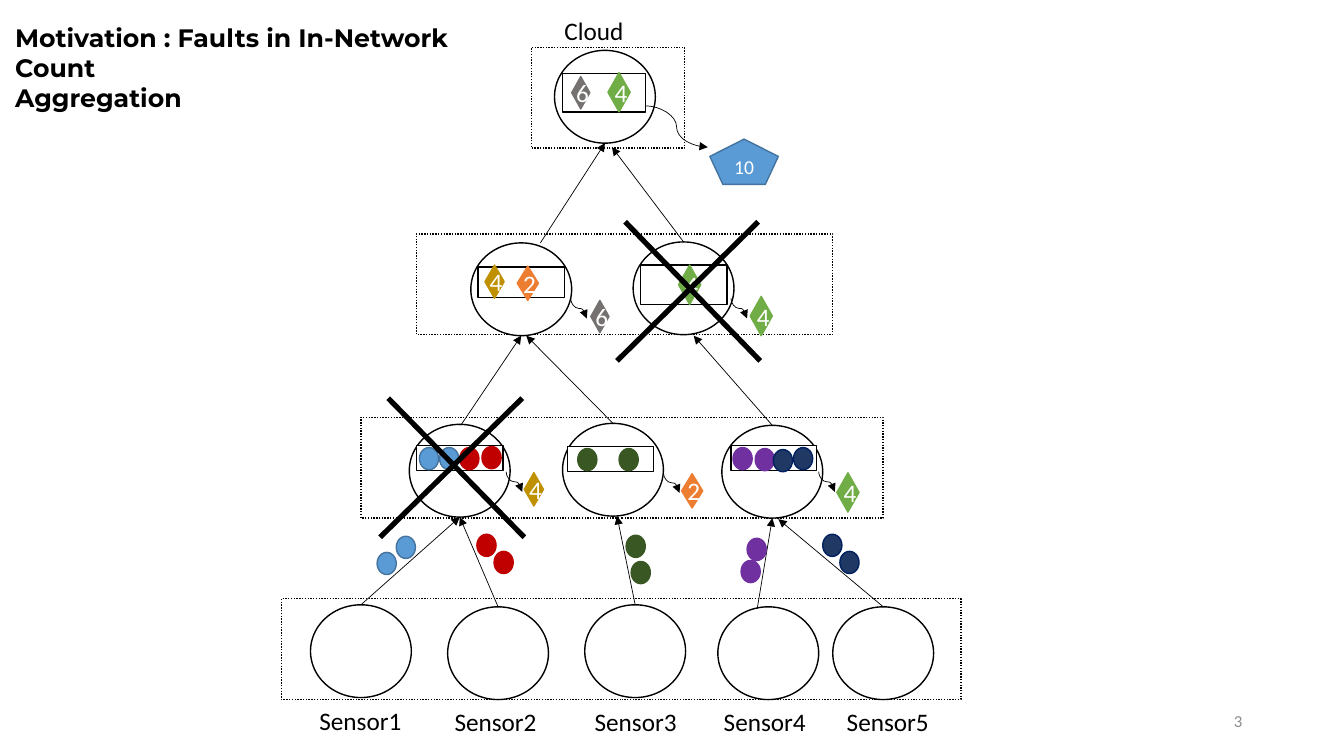
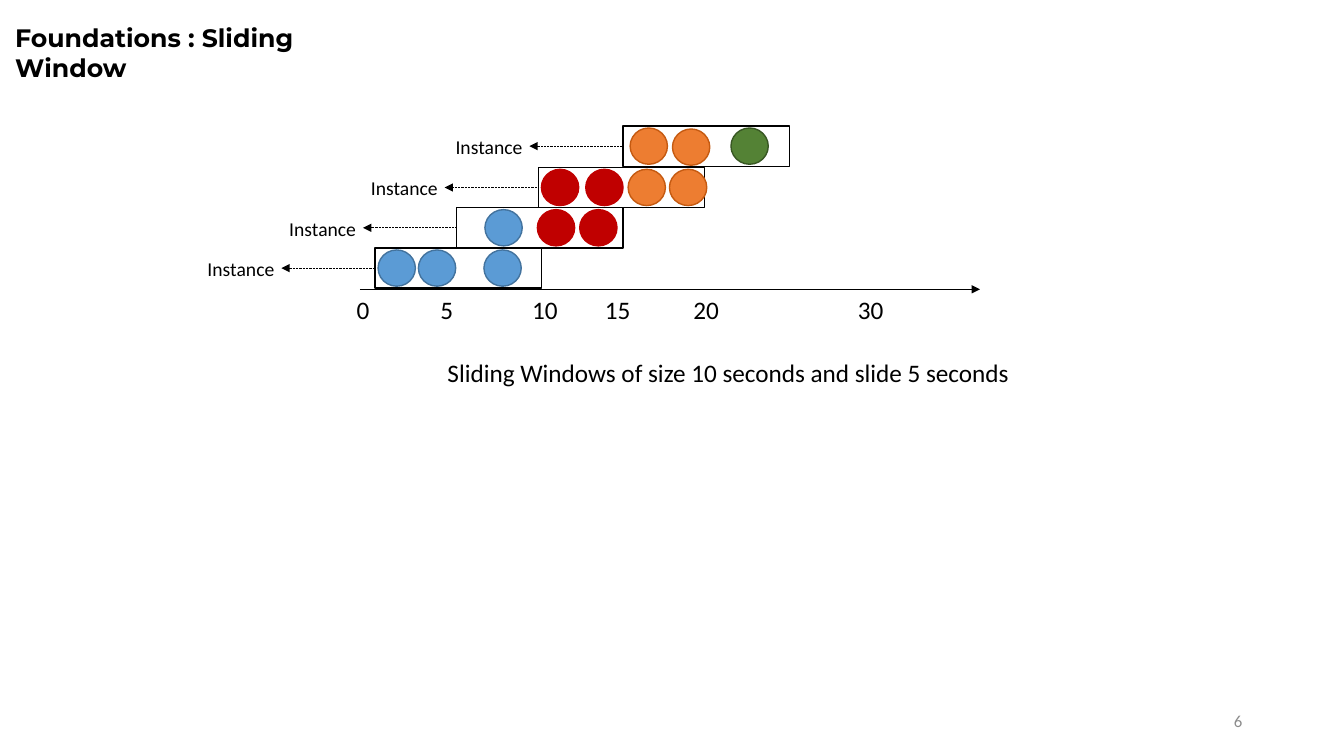
"""Build two slides on in-network count aggregation and sliding windows."""
from lxml.etree import SubElement
from pptx import Presentation
from pptx.dml.color import RGBColor
from pptx.enum.dml import MSO_LINE
from pptx.enum.shapes import MSO_CONNECTOR as LINK, MSO_SHAPE as SHAPE
from pptx.enum.text import MSO_ANCHOR as ANCHOR, MSO_AUTO_SIZE, PP_ALIGN as ALIGN
from pptx.oxml.ns import qn
from pptx.util import Pt

PX = 9144
BLACK = RGBColor(0x00, 0x00, 0x00)
WHITE = RGBColor(0xFF, 0xFF, 0xFF)
NUMBER_GRAY = RGBColor(0x8C, 0x8C, 0x8C)
GRAY = RGBColor(0x76, 0x71, 0x71)
GOLD = RGBColor(0xBF, 0x90, 0x00)
ORANGE = RGBColor(0xED, 0x7D, 0x31)
ORANGE_EDGE = RGBColor(0xC5, 0x5A, 0x11)
GREEN = RGBColor(0x70, 0xAD, 0x47)
MID_GREEN = RGBColor(0x54, 0x82, 0x35)
DARK_GREEN = RGBColor(0x38, 0x57, 0x23)
BLUE = RGBColor(0x5B, 0x9B, 0xD5)
BLUE_EDGE = RGBColor(0x43, 0x73, 0x9E)
RED = RGBColor(0xC0, 0x00, 0x00)
PURPLE = RGBColor(0x70, 0x30, 0xA0)
NAVY = RGBColor(0x20, 0x38, 0x64)
NAVY_EDGE = RGBColor(0x00, 0x20, 0x60)
BODY_FONT, TITLE_FONT = "Calibri", "Montserrat"


def add_box(page, kind, frame, fill=None, edge=BLACK, dotted=False, text="", size=18):
    box = page.shapes.add_shape(kind, *[length * PX for length in frame])
    box.shadow.inherit = False
    if fill is None:
        box.fill.background()
    else:
        box.fill.solid()
        box.fill.fore_color.rgb = fill
    box.line.color.rgb = edge
    box.line.width = Pt(1)
    if dotted:
        box.line.dash_style = MSO_LINE.ROUND_DOT
    if text:
        box.text_frame.vertical_anchor = ANCHOR.MIDDLE
        para = box.text_frame.paragraphs[0]
        para.text = text
        para.alignment = ALIGN.CENTER
        para.font.name, para.font.size = BODY_FONT, Pt(size)
        para.font.color.rgb = WHITE
    return box


def add_link(page, ends, kind=LINK.STRAIGHT, width=0.5, dotted=False, arrow=True):
    link = page.shapes.add_connector(kind, *[round(place * PX) for place in ends])
    link.line.color.rgb = BLACK
    link.line.width = Pt(width)
    if dotted:
        link.line.dash_style = MSO_LINE.ROUND_DOT
    properties = link._element.spPr
    if arrow:
        SubElement(properties.find(qn("a:ln")), qn("a:tailEnd"), type="triangle")
    SubElement(properties, qn("a:effectLst"))
    return link


WINDOW_WIDTH, WINDOW_HEIGHT = 165, 40
windows = [
    (372, 246, [(375, 248, BLUE, BLUE_EDGE), (415, 248, BLUE, BLUE_EDGE),
                (480, 248, BLUE, BLUE_EDGE)]),
    (453, 206, [(481, 208, BLUE, BLUE_EDGE), (533, 208, RED, RED),
                (575, 208, RED, RED)]),
    (534, 166, [(581, 168, RED, RED), (537, 168, RED, RED),
                (664, 168, ORANGE, ORANGE_EDGE), (623, 168, ORANGE, ORANGE_EDGE)]),
    (618, 125, [(667, 128, ORANGE, ORANGE_EDGE), (625, 127, ORANGE, ORANGE_EDGE),
                (725, 127, MID_GREEN, DARK_GREEN)]),
]

tree_labels = [("Cloud", 550, 10, 90, 18)]
for number, left in enumerate((307, 441, 580, 708, 830), 1):
    tree_labels.append((f"Sensor{number}", left, 695 if number == 1 else 696, 120, 18))
window_labels = [("Sliding Windows of size 10 seconds and slide 5 seconds", 434, 350, 620, 18)]
for second, left in ((0, 344), (5, 427), (10, 518), (15, 590), (20, 678), (30, 841)):
    window_labels.append((str(second), left, 287, 56, 18))
for left, top, dots in windows:
    window_labels.append(("Instance", left - 176, top + 4, 100, 14))

deck = Presentation()
deck.slide_width, deck.slide_height = 1333 * PX, 750 * PX
pages = []
for heading, heading_width, page_number, labels in (
    ("Motivation : Faults in In-Network Count\nAggregation", 468, "3", tree_labels),
    ("Foundations : Sliding Window", 348, "6", window_labels),
):
    page = deck.slides.add_slide(deck.slide_layouts[5])
    pages.append(page)
    title = page.shapes.title
    title.left, title.top = 5 * PX, 17 * PX
    title.width, title.height = heading_width * PX, 101 * PX
    title.text_frame.text = heading
    title.text_frame.vertical_anchor = ANCHOR.TOP
    title.text_frame.word_wrap = True
    title.text_frame.auto_size = MSO_AUTO_SIZE.NONE
    for para in title.text_frame.paragraphs:
        para.alignment = ALIGN.LEFT
        para.font.name, para.font.size, para.font.bold = TITLE_FONT, Pt(18), True
        para.font.color.rgb = BLACK

    for text, left, top, width, size in labels + [(page_number, 942, 695, 300, 12)]:
        label = page.shapes.add_textbox(left * PX, top * PX, width * PX, 40 * PX)
        label.text_frame.word_wrap = True
        para = label.text_frame.paragraphs[0]
        para.text = text
        para.font.name, para.font.size = BODY_FONT, Pt(size)
        para.font.color.rgb = BLACK
        if text == page_number:
            label.text_frame.vertical_anchor = ANCHOR.MIDDLE
            para.alignment = ALIGN.RIGHT
            para.font.color.rgb = NUMBER_GRAY

tree_page, window_page = pages

for tier in ((279, 594, 674, 100), (358, 414, 518, 100),
             (413, 232, 413, 100), (527, 47, 152, 100)):
    add_box(tree_page, SHAPE.RECTANGLE, tier, dotted=True)

for left, top in ((308, 600), (444, 602), (580, 600), (712, 602), (826, 602),
                  (406, 421), (558, 420), (716, 422),
                  (467, 241), (628, 240), (550, 50)):
    add_box(tree_page, SHAPE.OVAL, (left, top, 100, 92), WHITE)

for buffer in ((413, 442, 86, 25), (563, 443, 85, 25), (725, 442, 85, 25),
               (474, 265, 86, 30), (635, 263, 86, 39), (558, 73, 82, 38)):
    add_box(tree_page, SHAPE.RECTANGLE, buffer, WHITE)

for ends in ((358, 600, 456, 513), (494, 602, 456, 513), (630, 600, 612, 512),
             (751, 604, 766, 514), (876, 602, 772, 515),
             (457, 422, 517, 333), (608, 420, 522, 333), (766, 422, 688, 333),
             (536, 241, 600, 142), (678, 240, 607, 146)):
    add_link(tree_page, ends)

CURVE_WIDTH, CURVE_HEIGHT = 16, 20
for left, top in ((502, 468), (658, 469), (812, 468), (566, 296), (725, 296)):
    center, middle = left + CURVE_WIDTH / 2, top + CURVE_HEIGHT / 2
    curve = add_link(tree_page, (center + CURVE_HEIGHT / 2, middle - CURVE_WIDTH / 2,
                                 center - CURVE_HEIGHT / 2, middle + CURVE_WIDTH / 2),
                     LINK.CURVE)
    curve._element.spPr.find(qn("a:xfrm")).set("rot", "16200000")
add_link(tree_page, (640, 105, 702, 146), LINK.CURVE)
add_box(tree_page, SHAPE.REGULAR_PENTAGON, (704, 138, 68, 45), BLUE, BLUE_EDGE,
        text="10", size=14)

for fill, edge, places in (
    (BLUE, BLUE_EDGE, ((393, 532), (416, 444), (436, 444), (374, 548))),
    (RED, RED, ((473, 530), (490, 547), (456, 444), (478, 443))),
    (DARK_GREEN, DARK_GREEN, ((573, 445), (614, 445), (626, 557), (621, 531))),
    (PURPLE, PURPLE, ((727, 444), (749, 445), (741, 534), (735, 556))),
    (NAVY, NAVY_EDGE, ((767, 446), (787, 444), (816, 530), (833, 547))),
):
    for left, top in places:
        add_box(tree_page, SHAPE.OVAL, (left, top, 19, 22), fill, edge)

for count, color, width, height, places in (
    ("4", GOLD, 19, 33, ((520, 469), (481, 263))),
    ("2", ORANGE, 21, 34, ((676, 470), (513, 264))),
    ("6", GRAY, 18, 32, ((586, 298), (567, 76))),
    ("4", GREEN, 22, 39, ((830, 469), (673, 263), (744, 294), (603, 72))),
):
    for left, top in places:
        add_box(tree_page, SHAPE.DIAMOND, (left, top, width, height), color, color,
                text=count)

for stroke in ((385, 395, 520, 533), (518, 395, 377, 533),
               (620, 220, 754, 358), (752, 220, 612, 358)):
    add_link(tree_page, stroke, width=3.75, arrow=False)

add_link(window_page, (357, 287, 972, 287))
for left, top, dots in windows:
    window = add_box(window_page, SHAPE.RECTANGLE,
                     (left, top, WINDOW_WIDTH, WINDOW_HEIGHT))
    middle = top + WINDOW_HEIGHT // 2
    pointer = add_link(window_page, (left, middle, left - 93, middle), dotted=True)
    pointer.begin_connect(window, 1)
for left, top, dots in windows:
    for dot_left, dot_top, fill, edge in dots:
        add_box(window_page, SHAPE.OVAL, (dot_left, dot_top, 37, 36), fill, edge)

deck.save("out.pptx")
